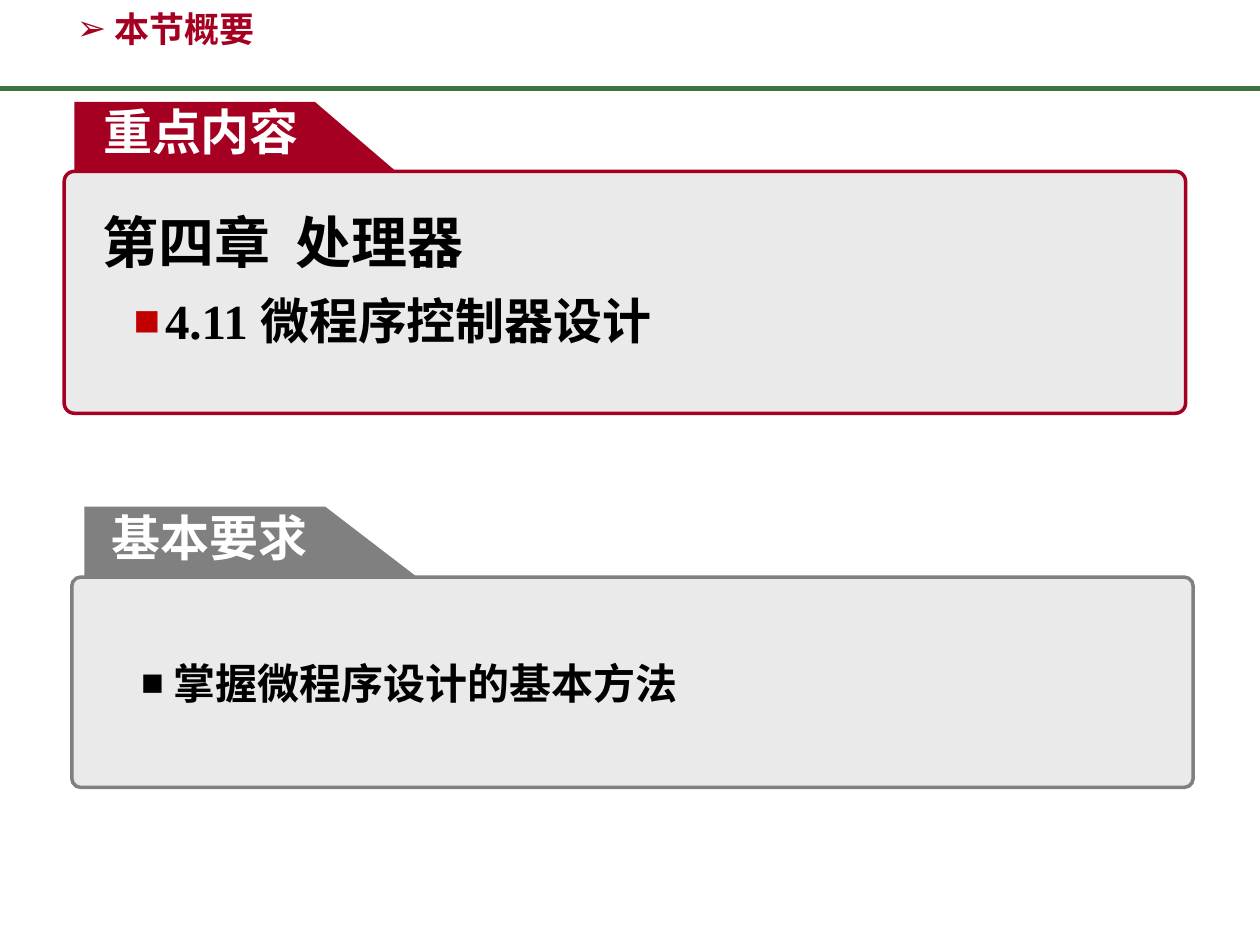
from lxml.etree import SubElement
from pptx import Presentation
from pptx.dml.color import RGBColor
from pptx.enum.shapes import MSO_CONNECTOR as Connector, MSO_SHAPE as Shape
from pptx.enum.text import MSO_ANCHOR as Anchor, MSO_AUTO_SIZE as AutoSize, PP_ALIGN as Align
from pptx.oxml.ns import qn
from pptx.util import Inches, Pt

THEME = {
    "red": "A50021", "gray": "808080", "green": "3F7141", "panel": "EAEAEA",
    "bullet": "C00000", "white": "FFFFFF", "black": "000000",
    "latin": "Arial", "cjk": "Noto Sans CJK JP", "serif": "Times New Roman",
    "title": 20, "tab": 28, "chapter": 32, "section": 28, "goal": 24,
}

TITLE = " 本节概要"
TITLE_BOX = (0.51, 0, 3.23, 0.44)
RULE_Y = 0.7
TAB_TOP_WIDTH, TAB_WIDTH = 1.91, 2.68

SECTIONS = [
    {
        "heading": "重点内容", "color": "red",
        "tab": (0.59, 0.81, 0.66), "heading_box": (0.72, 0.76, 1.92, 0.57),
        "panel": (0.51, 1.36, 8.9, 1.92), "corner": 0.042,
        "body_box": (0.71, 1.54, 8.51, 1.82),
        "lines": [
            ("第四章  处理器", dict(size="chapter", font="cjk", line=1.1, before=6)),
            ("4.11 微程序控制器设计",
             dict(size="section", font="serif", line=1.1, before=6, level=1, bullet="■",
                  bullet_color="bullet", bullet_size=90, margin=0.5, indent=-0.25)),
        ],
    },
    {
        "heading": "基本要求", "color": "gray",
        "tab": (0.67, 4.02, 0.59), "heading_box": (0.79, 3.98, 1.76, 0.57),
        "panel": (0.57, 4.58, 8.9, 1.67), "corner": 0.043,
        "body_box": (1.02, 5.05, 8.08, 0.59),
        "lines": [
            (" 掌握微程序设计的基本方法",
             dict(size="goal", font="cjk", line=1.3, bullet="■", bullet_size=90)),
        ],
    },
]


def rgb(name):
    return RGBColor.from_string(THEME[name])


def inches(box):
    return [Inches(value) for value in box]


def place(holder, box, anchor=Anchor.TOP):
    """Position a text holder, bring it to the front and return its frame."""
    holder.left, holder.top, holder.width, holder.height = inches(box)
    holder.element.getparent().append(holder.element)
    frame = holder.text_frame
    frame.word_wrap = True
    frame.auto_size = AutoSize.NONE
    frame.vertical_anchor = anchor
    return frame


def write(paragraph, text, size, font="latin", color="black", line=1.0, before=0, level=0,
          bullet=None, bullet_color=None, bullet_size=100, margin=0, indent=0):
    paragraph.alignment = Align.LEFT
    paragraph.level = level
    paragraph.line_spacing = line
    paragraph.space_before = Pt(before)
    run = paragraph.add_run()
    run.text = text
    run.font.size = Pt(THEME[size])
    run.font.bold = True
    run.font.name = THEME[font]
    run.font.color.rgb = rgb(color)
    latin = run.font._element.find(qn("a:latin"))
    east_asian = latin.makeelement(qn("a:ea"), {"typeface": THEME["cjk"]})
    latin.addnext(east_asian)

    properties = paragraph._p.get_or_add_pPr()
    properties.set("marL", str(Inches(margin)))
    properties.set("indent", str(Inches(indent)))
    if bullet is None:
        SubElement(properties, qn("a:buNone"))
        return
    if bullet_color:
        SubElement(SubElement(properties, qn("a:buClr")), qn("a:srgbClr"),
                   val=THEME[bullet_color])
    SubElement(properties, qn("a:buSzPct"), val=str(bullet_size * 1000))
    SubElement(properties, qn("a:buFont"), typeface=THEME["latin"])
    SubElement(properties, qn("a:buChar"), char=bullet)


def add_tab(slide, left, top, height, color):
    right, bottom = left + TAB_WIDTH, top + height
    builder = slide.shapes.build_freeform(Inches(left), Inches(top))
    corners = [(left + TAB_TOP_WIDTH, top), (right, bottom), (left, bottom)]
    builder.add_line_segments([inches(corner) for corner in corners], close=True)
    tab = builder.convert_to_shape()
    tab.shadow.inherit = False
    tab.fill.solid()
    tab.fill.fore_color.rgb = rgb(color)
    tab.line.fill.background()


def add_panel(slide, box, corner, color):
    panel = slide.shapes.add_shape(Shape.ROUNDED_RECTANGLE, *inches(box))
    panel.adjustments[0] = corner
    panel.shadow.inherit = False
    panel.fill.solid()
    panel.fill.fore_color.rgb = rgb("panel")
    panel.line.color.rgb = rgb(color)
    panel.line.width = Pt(2)


def add_section(slide, section, body):
    add_tab(slide, *section["tab"], section["color"])
    heading = slide.shapes.add_textbox(*inches(section["heading_box"]))
    heading_frame = place(heading, section["heading_box"])
    write(heading_frame.paragraphs[0], section["heading"], size="tab", color="white")
    add_panel(slide, section["panel"], section["corner"], section["color"])
    body_frame = place(body, section["body_box"])
    for index, (text, style) in enumerate(section["lines"]):
        paragraph = body_frame.add_paragraph() if index else body_frame.paragraphs[0]
        write(paragraph, text, **style)


def main():
    deck = Presentation()
    deck.slide_width, deck.slide_height = Inches(10), Inches(7.5)
    slide = deck.slides.add_slide(deck.slide_layouts.get_by_name("Two Content"))
    title, *bodies = list(slide.placeholders)

    rule = slide.shapes.add_connector(Connector.STRAIGHT, 0, Inches(RULE_Y),
                                      deck.slide_width, Inches(RULE_Y))
    rule.line.color.rgb = rgb("green")
    rule.line.width = Pt(3)
    SubElement(rule.element.spPr, qn("a:effectLst"))

    title_frame = place(title, TITLE_BOX, Anchor.BOTTOM)
    write(title_frame.paragraphs[0], TITLE, size="title", color="red", bullet="➢")
    for section, body in zip(SECTIONS, bodies):
        add_section(slide, section, body)
    deck.save("out.pptx")


if __name__ == "__main__":
    main()
